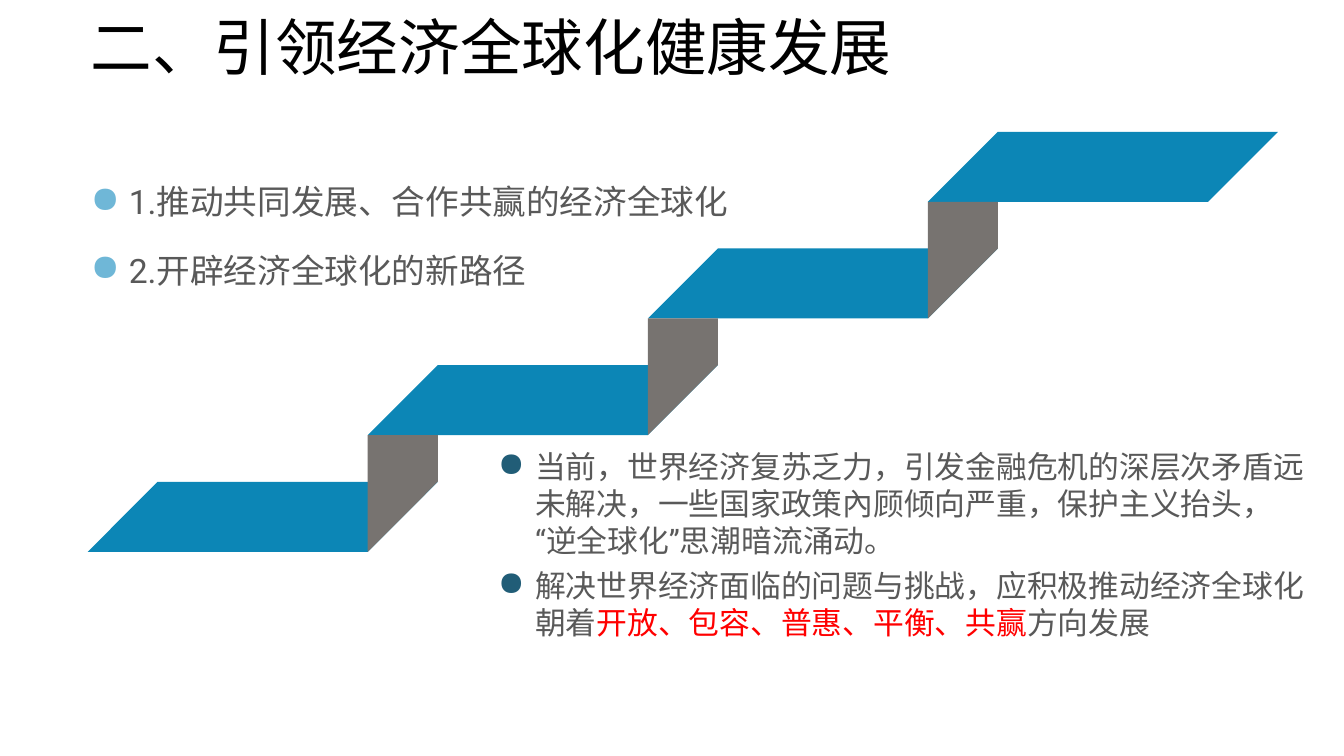
from dataclasses import dataclass
from typing import Optional

from lxml.etree import SubElement
from pptx import Presentation
from pptx.dml.color import RGBColor
from pptx.enum.lang import MSO_LANGUAGE_ID
from pptx.enum.shapes import MSO_SHAPE
from pptx.enum.text import MSO_ANCHOR, PP_ALIGN
from pptx.oxml.ns import qn
from pptx.util import Inches, Pt

BLUE = RGBColor(0x0C, 0x86, 0xB6)
GREY = RGBColor(0x77, 0x73, 0x70)
BLACK = RGBColor(0x00, 0x00, 0x00)
TEXT_GREY = RGBColor(0x59, 0x59, 0x59)
RED = RGBColor(0xFF, 0x00, 0x00)
LIGHT_BULLET = RGBColor(0x6F, 0xB7, 0xD7)
DARK_BULLET = RGBColor(0x21, 0x5D, 0x77)
FONT = "Roboto"

# Staircase grid: one column is a riser's width, three rows are a tread's depth
COLUMN = Inches(25 / 36)
ROW = COLUMN / 3
STAIR_LEFT, STAIR_TOP = Inches(0.87), Inches(4.78)
STEP_COLUMNS, STEP_ROWS = 4, 5
STEP_COUNT = 4
RISER_OUTLINE = [(0, 5), (0, 0), (1, 0), (1, 2)]


@dataclass
class Bullet:
    color: RGBColor
    left: float
    hanging: float


@dataclass
class TextBlock:
    left: float
    top: float
    width: float
    height: float
    size: int
    color: RGBColor
    paragraphs: list[list[str]]
    space_before: int = 0
    line_spacing: Optional[float] = None
    bullet: Optional[Bullet] = None


TEXT_BLOCKS = [
    TextBlock(0.8, 0.12, 11.73, 1.46, 44, BLACK,
              [["二、引领经济全球化健康发展"]], line_spacing=0.9),
    TextBlock(0.8, 1.75, 11.73, 4.75, 24, TEXT_GREY,
              [["1.推动共同发展、合作共赢的经济全球化"],
               ["2.开辟经济全球化的新路径"]],
              space_before=20, bullet=Bullet(LIGHT_BULLET, 0.38, 0.38)),
    TextBlock(4.46, 4.39, 8.67, 2.2, 22, TEXT_GREY,
              [["当前，世界经济复苏乏力，引发金融危机的深层次矛盾远未解决，"
                "一些国家政策內顾倾向严重，保护主义抬头，“逆全球化”思潮暗流涌动。"],
               ["解决世界经济面临的问题与挑战，应积极推动经济全球化朝着",
                "开放、包容、普惠、平衡、共赢", "方向发展"]],
              space_before=6, bullet=Bullet(DARK_BULLET, 0.75, 0.37)),
]


def paint(shape, color: RGBColor) -> None:
    shape.shadow.inherit = False
    shape.fill.solid()
    shape.fill.fore_color.rgb = color
    shape.line.fill.background()


def stair_point(column: float, row: float) -> tuple[int, int]:
    return round(STAIR_LEFT + column * COLUMN), round(STAIR_TOP + row * ROW)


def add_tread(slide, step: int) -> None:
    left, top = stair_point(step * STEP_COLUMNS, -step * STEP_ROWS)
    tread = slide.shapes.add_shape(MSO_SHAPE.FLOWCHART_DATA, left, top,
                                   5 * COLUMN, round(3 * ROW))
    paint(tread, BLUE)


def add_riser(slide, step: int) -> None:
    first_column = (step + 1) * STEP_COLUMNS
    first_row = -2 - step * STEP_ROWS
    points = [stair_point(first_column + column, first_row + row)
              for column, row in RISER_OUTLINE]
    builder = slide.shapes.build_freeform(*points[0])
    builder.add_line_segments(points[1:], close=True)
    paint(builder.convert_to_shape(), GREY)


def add_bullet(paragraph, bullet: Bullet) -> None:
    properties = paragraph._p.get_or_add_pPr()
    properties.set("marL", str(Inches(bullet.left)))
    properties.set("indent", str(-Inches(bullet.hanging)))
    color = SubElement(properties, qn("a:buClr"))
    SubElement(color, qn("a:srgbClr"), val=str(bullet.color))
    SubElement(properties, qn("a:buSzPct"), val="110000")
    SubElement(properties, qn("a:buChar"), char="●")


def add_run(paragraph, text: str, size: int, color: RGBColor) -> None:
    run = paragraph.add_run()
    run.text = text
    run.font.size = Pt(size)
    run.font.name = FONT
    run.font.color.rgb = color
    run.font.language_id = MSO_LANGUAGE_ID.SIMPLIFIED_CHINESE
    SubElement(run._r.get_or_add_rPr(), qn("a:ea"), typeface=FONT)


def add_text_block(slide, block: TextBlock) -> None:
    box = slide.shapes.add_textbox(Inches(block.left), Inches(block.top),
                                   Inches(block.width), Inches(block.height))
    frame = box.text_frame
    frame.word_wrap = True
    frame.vertical_anchor = MSO_ANCHOR.TOP
    for index, pieces in enumerate(block.paragraphs):
        paragraph = frame.add_paragraph() if index else frame.paragraphs[0]
        if block.bullet:
            add_bullet(paragraph, block.bullet)
        paragraph.alignment = PP_ALIGN.LEFT
        paragraph.space_before = Pt(block.space_before if index else 0)
        if block.line_spacing:
            paragraph.line_spacing = block.line_spacing
        # Every second piece of a paragraph is emphasised
        for position, piece in enumerate(pieces):
            add_run(paragraph, piece, block.size, RED if position % 2 else block.color)


def main() -> None:
    presentation = Presentation()
    presentation.slide_width = Inches(13.33)
    presentation.slide_height = Inches(7.5)
    slide = presentation.slides.add_slide(presentation.slide_layouts[6])

    # Staircase: the risers cover the slanted ends of the treads
    for step in range(STEP_COUNT):
        add_tread(slide, step)
    for step in range(STEP_COUNT - 1):
        add_riser(slide, step)

    # Title and bullet lists
    for block in TEXT_BLOCKS:
        add_text_block(slide, block)

    presentation.save("out.pptx")


if __name__ == "__main__":
    main()
